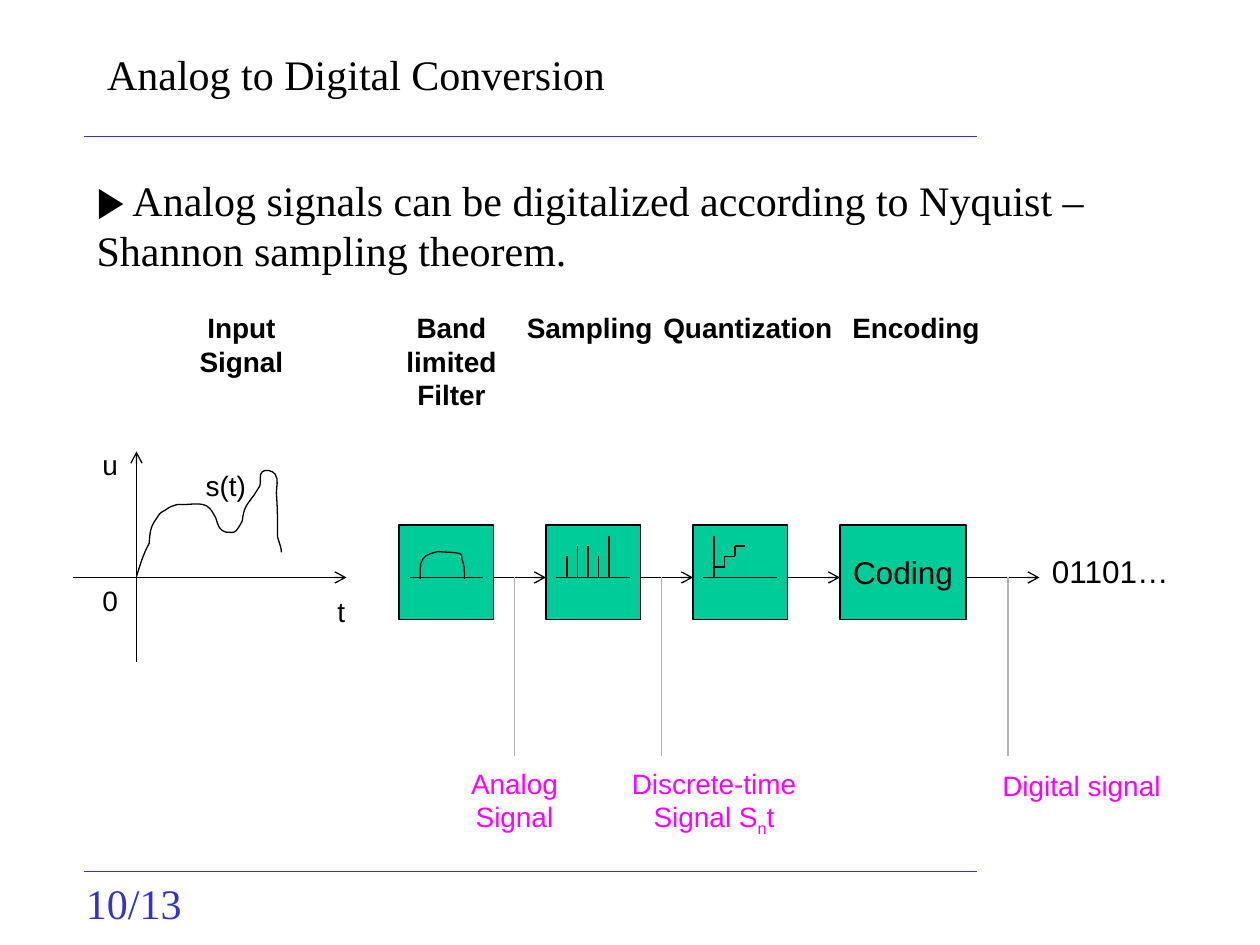
from lxml.etree import SubElement
from pptx import Presentation
from pptx.dml.color import RGBColor
from pptx.enum.shapes import MSO_CONNECTOR, MSO_SHAPE
from pptx.enum.text import MSO_ANCHOR, MSO_AUTO_SIZE, PP_ALIGN
from pptx.oxml.ns import qn
from pptx.util import Inches, Pt

BLACK, BLUE, GREEN, PINK, GRAY = "000000", "3333CC", "00CC99", "FF00FF", "B2B2B2"
SERIF, SANS = "Times New Roman", "Arial"
UNITS_PER_INCH = 12
PITCH, SIDE, AXIS = 14, 9, 55
LINE_HEIGHT, PADDING = 3.2, 1.2

SIGNAL = [
    (0, -.01), (.03, -.1), (.05, -.18), (.1, -.27), (.11, -.39), (.11, -.4), (.18, -.5),
    (.19, -.52), (.23, -.53), (.25, -.55), (.28, -.57), (.33, -.58), (.33, -.58),
    (.42, -.57), (.52, -.61), (.58, -.55), (.6, -.53), (.63, -.47), (.63, -.47),
    (.65, -.41), (.65, -.38), (.71, -.36), (.74, -.36), (.77, -.35), (.79, -.37),
    (.81, -.39), (.84, -.45), (.84, -.45), (.85, -.55), (.87, -.57), (.93, -.65),
    (.95, -.68), (.98, -.73), (.98, -.73), (.99, -.77), (.97, -.82), (1, -.84),
    (1.02, -.86), (1.08, -.85), (1.1, -.82), (1.13, -.78), (1.11, -.72), (1.11, -.67),
    (1.12, -.55), (1.12, -.43), (1.12, -.32), (1.13, -.28), (1.15, -.24), (1.15, -.2),
]
PASSBAND = [
    (.17, .43), (.17, .38), (.16, .31), (.19, .27), (.21, .23), (.28, .22), (.31, .21),
    (.37, .22), (.43, .21), (.49, .23), (.5, .23), (.5, .25), (.5, .27),
    (.52, .34), (.52, .33), (.52, .43),
]


def rgb(value):
    return RGBColor.from_string(value)


def grid(*units):
    return [Inches(u / UNITS_PER_INCH) for u in units]


def style(obj, **values):
    for name, value in values.items():
        setattr(obj, name, value)


def place(sp, *box):
    style(sp, **dict(zip(("left", "top", "width", "height"), grid(*box))))


def outline(sp, color):
    sp.line.color.rgb = rgb(color)
    sp.line.width = Pt(0.75)


def line(shapes, x1, y1, x2, y2, color=BLACK, arrow=False):
    c = shapes.add_connector(MSO_CONNECTOR.STRAIGHT, *grid(x1, y1, x2, y2))
    outline(c, color)
    if arrow:
        SubElement(c.line._get_or_add_ln(), qn("a:tailEnd"), type="arrow")
    SubElement(c._element.spPr, qn("a:effectLst"))


def curve(shapes, left, top, points):
    x, y = grid(left, top)
    start, *rest = [(x + Inches(dx), y + Inches(dy)) for dx, dy in points]
    builder = shapes.build_freeform(*start)
    builder.add_line_segments(rest, close=False)
    sp = builder.convert_to_shape()
    segments = list(sp._element.iter(qn("a:lnTo")))
    outline_path = segments[0].getparent()
    for i in range(0, len(segments), 3):
        bezier = SubElement(outline_path, qn("a:cubicBezTo"))
        for segment in segments[i:i + 3]:
            bezier.append(segment[0])
            outline_path.remove(segment)
    sp.shadow.inherit = False
    sp.fill.background()
    outline(sp, BLACK)


def write(tf, lines, size=16, font=SANS, color=BLACK, bold=False,
          align=PP_ALIGN.CENTER, anchor=MSO_ANCHOR.TOP, wrap=True):
    style(tf, word_wrap=wrap, auto_size=MSO_AUTO_SIZE.NONE, vertical_anchor=anchor)
    for i, runs in enumerate(lines):
        p = tf.paragraphs[0] if i == 0 else tf.add_paragraph()
        style(p, alignment=align, space_before=Pt(0))
        for text, *special in [(runs,)] if isinstance(runs, str) else runs:
            r = p.add_run()
            r.text = text
            style(r.font, size=Pt(size), name=font, bold=bold)
            r.font.color.rgb = rgb(color)
            for extra in special:
                if extra == "sub":
                    r.font._element.set("baseline", "-25000")
                else:
                    r.font.name = extra


def label(s, left, top, width, *lines, **look):
    box = grid(left, top, width, PADDING + LINE_HEIGHT * len(lines))
    write(s.shapes.add_textbox(*box).text_frame, lines, **look)


def frame(s, left, top, width, height):
    look = dict(size=24, font=SERIF, align=PP_ALIGN.LEFT)
    for y in (top, top + height):
        line(s.shapes, left, y, left + width, y, BLUE)
    title, body = s.placeholders
    place(title, left + 1, top - 9, 84, 6)
    write(title.text_frame, ["Analog to Digital Conversion"], **look)
    place(body, left, top + 3, 106, 10.8)
    statement = " Analog signals can be digitalized according to Nyquist – Shannon sampling theorem."
    write(body.text_frame, [[("▶", SANS), (statement,)]], **look)
    pPr = body.text_frame.paragraphs[0]._p.get_or_add_pPr()
    for name in ("marL", "indent"):
        pPr.set(name, "0")
    SubElement(pPr, qn("a:buNone"))
    label(s, left - 1, top + height, 13, "10/13", color=BLUE, **look)


def input_plot(s, left, top, width, height):
    shapes = s.shapes.add_group_shape().shapes
    x, y = left + 6, top + 12
    line(shapes, x, top + height, x, top, arrow=True)
    line(shapes, left, y, left + width, y, arrow=True)
    curve(shapes, x, y, SIGNAL)
    label(s, left, top - 1, 7, "u")
    label(s, left, y, 7, "0")
    label(s, left + width - 3, y + 1, 5, "t")
    label(s, x + 5, top + 1, 7, "s(t)")


def block(shapes, left, top, width):
    sp = shapes.add_shape(MSO_SHAPE.RECTANGLE, *grid(left, top, width, SIDE))
    sp.shadow.inherit = False
    sp.fill.solid()
    sp.fill.fore_color.rgb = rgb(GREEN)
    outline(sp, BLACK)
    return sp


def icon_block(s, left, top, segments=(), band=None):
    shapes = s.shapes.add_group_shape().shapes
    block(shapes, left, top, SIDE)
    if band:
        curve(shapes, left, top, band)
    for x1, y1, x2, y2 in [(1, 5, 8, 5), *segments]:
        line(shapes, left + x1, top + y1, left + x2, top + y2)


def chain(s, left, top):
    lefts = [left + i * PITCH for i in range(4)]
    samples = [(x, y, x, 5) for x, y in enumerate((3, 2, 2, 3, 1), start=2)]
    steps = [(2, 1, 2, 5), (2, 4, 3, 4), (3, 3, 3, 4),
             (3, 3, 4, 3), (4, 2, 4, 3), (4, 2, 5, 2)]
    icon_block(s, lefts[0], top, band=PASSBAND)
    icon_block(s, lefts[1], top, samples)
    icon_block(s, lefts[2], top, steps)
    coding = block(s.shapes, lefts[3], top, 12)
    write(coding.text_frame, ["Coding"], size=18, anchor=MSO_ANCHOR.MIDDLE, wrap=False)
    for x in lefts[:3]:
        line(s.shapes, x + SIDE, AXIS, x + PITCH, AXIS, arrow=True)
    end = lefts[3] + 12
    line(s.shapes, end, AXIS, end + 7, AXIS, arrow=True)
    label(s, end + 7, top + 2, 18, "01101…", size=18, align=PP_ALIGN.LEFT)


def headings(s, top):
    for x, width, lines, align in [
        (14, 18, ("Input", "Signal"), PP_ALIGN.CENTER),
        (34, 18, ("Band", "limited", "Filter"), PP_ALIGN.CENTER),
        (49, 18, ("Sampling",), PP_ALIGN.LEFT),
        (62, 19, ("Quantization",), PP_ALIGN.LEFT),
        (80, 19, ("Encoding",), PP_ALIGN.LEFT),
    ]:
        label(s, x, top, width, *lines, bold=True, align=align)


def callouts(s, top, bottom):
    for x, left, drop, width, lines in [
        (49, 40, .4, 18, ("Analog", "Signal")),
        (63, 58, .4, 20, ("Discrete-time", [("Signal S",), ("n", "sub"), ("t",)])),
        (96, 93, .6, 20, ("Digital signal",)),
    ]:
        line(s.shapes, x, top, x, bottom, GRAY)
        label(s, left, bottom + drop, width, *lines, color=PINK)


def main():
    prs = Presentation()
    style(prs, slide_width=Inches(10), slide_height=Inches(7.5))
    s = prs.slides.add_slide(prs.slide_layouts[1])
    frame(s, 8, 13, 85, 70)
    input_plot(s, 7, AXIS - 12, 26, 20)
    chain(s, 38, AXIS - 5)
    headings(s, 29)
    callouts(s, AXIS, 72)
    prs.save("out.pptx")


if __name__ == "__main__":
    main()
